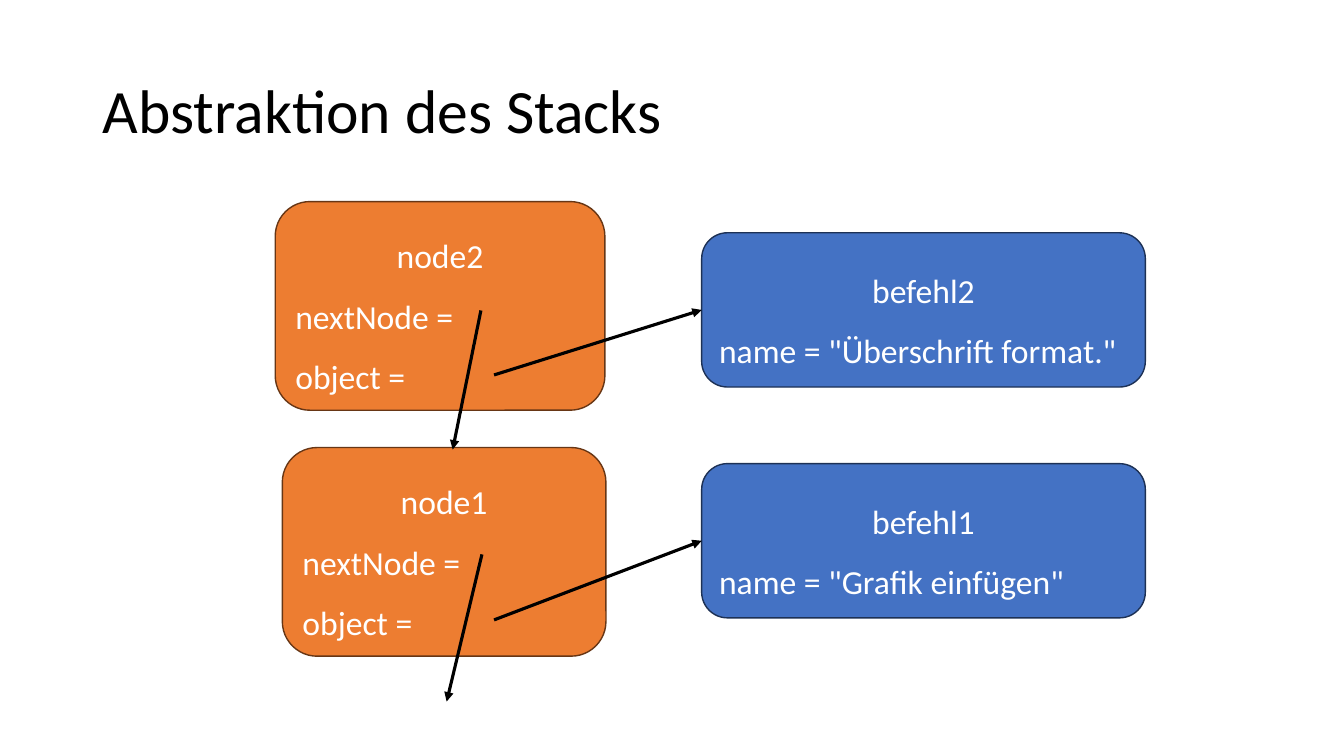
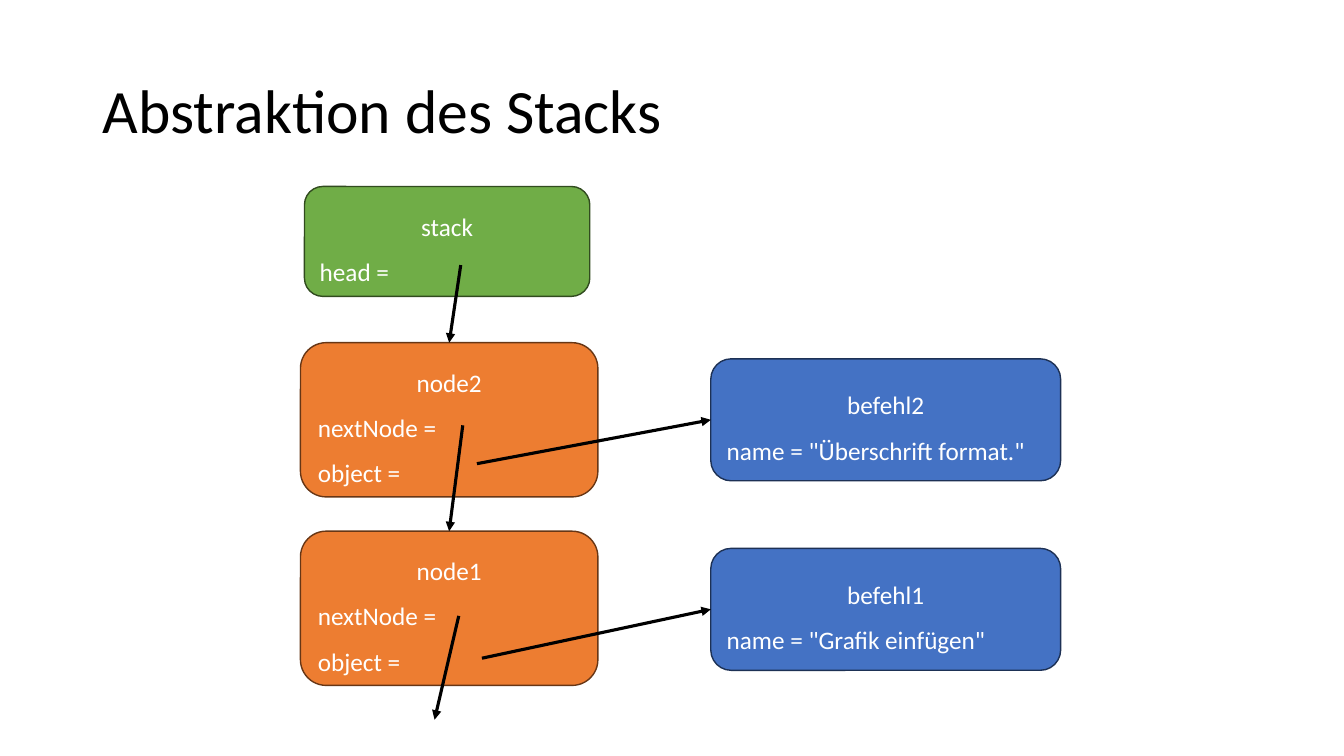
"""Build two slides that show a stack as linked boxes."""
from dataclasses import dataclass

from pptx import Presentation
from pptx.dml.color import RGBColor
from pptx.enum.shapes import MSO_CONNECTOR, MSO_SHAPE
from pptx.enum.text import MSO_ANCHOR, PP_ALIGN
from pptx.oxml.ns import qn
from pptx.util import Inches, Pt

ROUND = MSO_SHAPE.ROUNDED_RECTANGLE
STRAIGHT = MSO_CONNECTOR.STRAIGHT
MIDDLE = MSO_ANCHOR.MIDDLE
LEFT, CENTER = PP_ALIGN.LEFT, PP_ALIGN.CENTER
TOP_SITE, LEFT_SITE = 0, 1


@dataclass(frozen=True)
class Theme:
    """Colours, font and type sizes of the deck."""
    font: str = "Calibri"
    black: str = "000000"
    white: str = "FFFFFF"
    title: int = 44
    edge: float = 1
    arrow: float = 2.25
    fills: tuple = (("stack", "70AD47", "314B1F"),
                    ("node", "ED7D31", "673615"),
                    ("order", "4472C4", "1D3155"))


THEME = Theme()
TITLE = "Abstraktion des Stacks"
TITLE_AREA = (0.92, 0.4, 11.5, 1.45)

TEXTS = {
    "befehl2": ("order", ['name = "Überschrift format."']),
    "befehl1": ("order", ['name = "Grafik einfügen"']),
    "node2": ("node", ["nextNode = ", "object = "]),
    "node1": ("node", ["nextNode = ", "object = "]),
    "stack": ("stack", ["head = "]),
}

SLIDES = [
    {"size": 24,
     "boxes": {"befehl2": (6.96, 2.31, 4.4, 1.53),
               "befehl1": (6.96, 4.6, 4.4, 1.53),
               "node2": (2.73, 2, 3.27, 2.07),
               "node1": (2.8, 4.44, 3.21, 2.07)},
     "arrows": [((4.78, 5.5), (4.43, 6.96)),
                ((4.77, 3.08), (4.49, 4.46)),
                ((4.9, 3.72), "befehl2"),
                ((4.9, 6.15), "befehl1")]},
    {"size": 18,
     "boxes": {"befehl2": (7.05, 3.56, 3.47, 1.21),
               "befehl1": (7.05, 5.44, 3.47, 1.21),
               "node2": (2.98, 3.4, 2.95, 1.53),
               "node1": (2.98, 5.27, 2.95, 1.53),
               "stack": (3.02, 1.85, 2.83, 1.09)},
     "arrows": [((4.55, 6.11), (4.31, 7.14)),
                ((4.59, 4.22), "node1"),
                ((4.73, 4.6), "befehl2"),
                ((4.78, 6.53), "befehl1"),
                ((4.57, 2.63), "node2")]},
]


def inches(values):
    """Turn plain numbers into lengths."""
    return [Inches(value) for value in values]


def write(frame, lines, size, color, space, head=LEFT):
    """Fill a frame with lines; the first one is aligned by head."""
    frame.word_wrap = True
    frame.vertical_anchor = MIDDLE
    for row, line in enumerate(lines):
        para = frame.add_paragraph() if row else frame.paragraphs[0]
        para.alignment = LEFT if row else head
        para.line_spacing = space
        run = para.add_run()
        run.text = line
        run.font.name = THEME.font
        run.font.size = Pt(size)
        run.font.color.rgb = RGBColor.from_string(color)


def stroke(line, color, width):
    """Set the colour and width of a line."""
    line.color.rgb = RGBColor.from_string(color)
    line.width = Pt(width)


def add_box(slide, name, area, size):
    """Add a rounded box with its name and fields."""
    kind, fields = TEXTS[name]
    fill, edge = next(pair for key, *pair in THEME.fills if key == kind)
    box = slide.shapes.add_shape(ROUND, *inches(area))
    box.shadow.inherit = False
    box.fill.solid()
    box.fill.fore_color.rgb = RGBColor.from_string(fill)
    stroke(box.line, edge, THEME.edge)
    write(box.text_frame, [name, *fields], size=size, color=THEME.white,
          space=1.5, head=CENTER)
    return box


def add_arrow(slide, start, end, boxes):
    """Add an arrow to a point, or glue it to a named box."""
    point = start if end in boxes else end
    arrow = slide.shapes.add_connector(STRAIGHT, *inches(start + point))
    if end in boxes:
        site = LEFT_SITE if TEXTS[end][0] == "order" else TOP_SITE
        arrow.end_connect(boxes[end], site)
    stroke(arrow.line, THEME.black, THEME.arrow)
    props = arrow._element.spPr
    tip = props.get_or_add_ln().makeelement(qn("a:tailEnd"),
                                            {"type": "triangle"})
    props.get_or_add_ln().append(tip)
    props.append(props.makeelement(qn("a:effectLst"), {}))


def main():
    """Build and save the deck."""
    deck = Presentation()
    deck.slide_width, deck.slide_height = inches((13.33, 7.5))
    layout = deck.slide_layouts.get_by_name("Title Only")
    head = layout.placeholders[0]
    head.left, head.top, head.width, head.height = inches(TITLE_AREA)
    for plan in SLIDES:
        slide = deck.slides.add_slide(layout)
        write(slide.shapes.title.text_frame, [TITLE], size=THEME.title,
              color=THEME.black, space=0.9)
        boxes = {name: add_box(slide, name, area, plan["size"])
                 for name, area in plan["boxes"].items()}
        for start, end in plan["arrows"]:
            add_arrow(slide, start, end, boxes)
    deck.save("out.pptx")


main()
